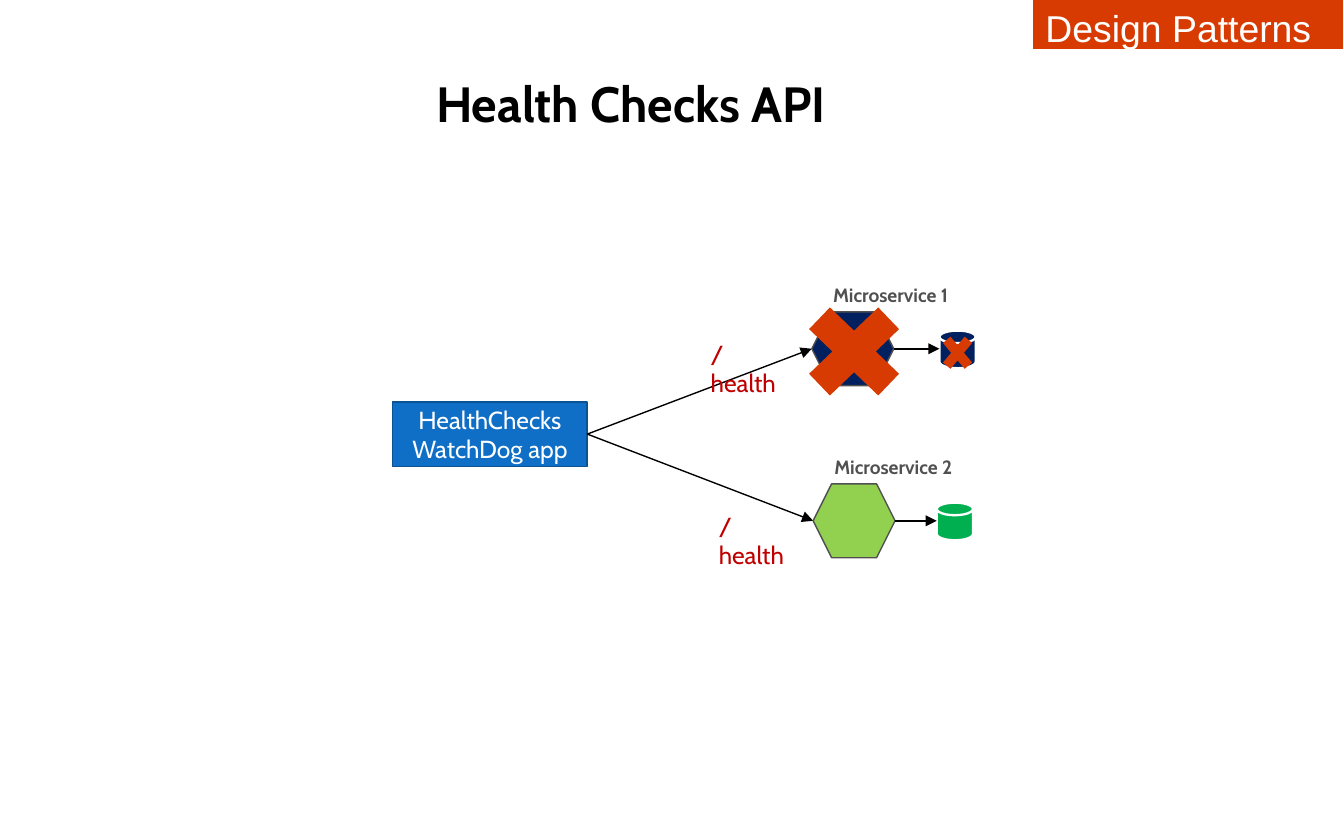
from lxml import etree
from pptx import Presentation
from pptx.dml.color import RGBColor
from pptx.enum import shapes, text
from pptx.oxml.ns import qn
from pptx.util import Inches, Pt

WHITE = RGBColor(0xFF, 0xFF, 0xFF)
BLACK = RGBColor(0x00, 0x00, 0x00)
GRAY = RGBColor(0x50, 0x50, 0x50)
BLUE = RGBColor(0x0F, 0x6F, 0xC6)
DARK_BLUE = RGBColor(0x0B, 0x52, 0x92)
NAVY = RGBColor(0x00, 0x20, 0x60)
LIME = RGBColor(0x92, 0xD0, 0x50)
GREEN = RGBColor(0x00, 0xB0, 0x50)
RED = RGBColor(0xC0, 0x00, 0x00)
ORANGE = RGBColor(0xD8, 0x3B, 0x01)

HEXAGON_WIDTH, HEXAGON_HEIGHT = 0.61, 0.55
DISK_WIDTH, DISK_HEIGHT = 0.27, 0.28


def add_figure(page, kind, box, fill, line=None, line_width=0.75):
    figure = page.shapes.add_shape(kind, *map(Inches, box))
    figure.shadow.inherit = False
    figure.fill.solid()
    figure.fill.fore_color.rgb = fill
    if line is None:
        figure.line.fill.background()
    else:
        figure.line.color.rgb = line
        figure.line.width = Pt(line_width)
    return figure


def write(shape, lines, size, color, font="Cabin", bold=False,
          align=text.PP_ALIGN.LEFT, anchor=text.MSO_ANCHOR.TOP, wrap=True):
    frame = shape.text_frame
    frame.word_wrap = wrap
    frame.vertical_anchor = anchor
    for number, line in enumerate(lines):
        para = frame.add_paragraph() if number else frame.paragraphs[0]
        para.alignment = align
        span = para.add_run()
        span.text = line
        span.font.name = font
        span.font.size = Pt(size)
        span.font.bold = bold
        span.font.color.rgb = color


def add_label(page, box, words, size, color, **style):
    write(page.shapes.add_textbox(*map(Inches, box)), [words], size, color, **style)


def add_arrow(page, start, end, width):
    arrow = page.shapes.add_connector(
        shapes.MSO_CONNECTOR.STRAIGHT, *map(Inches, (*start, *end)))
    arrow.line.color.rgb = BLACK
    arrow.line.width = Pt(width)
    etree.SubElement(arrow.line._get_or_add_ln(), qn("a:tailEnd"), type="triangle")
    etree.SubElement(arrow._element.spPr, qn("a:effectLst"))
    return arrow


def add_title(page, box):
    title = page.shapes.title
    title.left, title.top, title.width, title.height = map(Inches, box)
    write(title, ["Health Checks API"], 26.5, BLACK, bold=True,
          align=text.PP_ALIGN.CENTER)


def add_banner(page, box):
    banner = add_figure(page, shapes.MSO_SHAPE.RECTANGLE, box, ORANGE, WHITE)
    write(banner, ["Design Patterns"], 20, WHITE, font="Arial")


def add_watchdog(page, box):
    watchdog = add_figure(page, shapes.MSO_SHAPE.RECTANGLE, box,
                          BLUE, DARK_BLUE, 0.85)
    write(watchdog, ["HealthChecks", "WatchDog app"], 13.2, WHITE,
          align=text.PP_ALIGN.CENTER, anchor=text.MSO_ANCHOR.MIDDLE)
    return watchdog


def add_cross(page, center, width, height):
    x, y = center
    add_figure(page, shapes.MSO_SHAPE.MATH_MULTIPLY,
               (x - width / 2, y - height / 2, width, height), ORANGE)


def add_service(page, left, top, name, fill, disk_fill, disk_gap, health_gap,
                watchdog, failed=False):
    """Place a hexagon at left, top with its labels, database and health probe."""
    middle = top + HEXAGON_HEIGHT / 2
    right = left + HEXAGON_WIDTH
    disk_left = right + disk_gap

    probe = add_arrow(page, (left, middle), (left, middle), 0.75)
    probe.begin_connect(watchdog, 3)
    add_label(page, (left - health_gap, top + 0.15, 0.74, 0.32),
              "/health", 13.2, RED)
    add_figure(page, shapes.MSO_SHAPE.HEXAGON,
               (left, top, HEXAGON_WIDTH, HEXAGON_HEIGHT), fill, GRAY)
    add_label(page, (left + 0.06, top - 0.26, 1.19, 0.27),
              name, 10.3, GRAY, bold=True, wrap=False)
    add_figure(page, shapes.MSO_SHAPE.FLOWCHART_MAGNETIC_DISK,
               (disk_left, top + 0.14, DISK_WIDTH, DISK_HEIGHT),
               disk_fill, WHITE, 1.25)
    add_arrow(page, (right, middle), (disk_left, middle), 1)
    if failed:
        add_cross(page, (left + HEXAGON_WIDTH / 2 + 0.01, middle + 0.02), 0.99, 0.95)
        add_cross(page, (disk_left + DISK_WIDTH / 2, middle + 0.03), 0.31, 0.37)


def main():
    deck = Presentation()
    deck.slide_width, deck.slide_height = Inches(10), Inches(6.25)
    page = deck.slides.add_slide(deck.slide_layouts[5])

    add_title(page, (0.22, 0.49, 8.95, 0.55))
    watchdog = add_watchdog(page, (2.92, 2.99, 1.45, 0.48))
    add_service(page, 6.04, 2.32, "Microservice 1", NAVY, NAVY, 0.34, 0.85,
                watchdog, failed=True)
    add_service(page, 6.05, 3.6, "Microservice 2", LIME, GREEN, 0.31, 0.8,
                watchdog)
    add_banner(page, (7.68, -0.01, 2.32, 0.38))
    deck.save("out.pptx")


if __name__ == "__main__":
    main()
